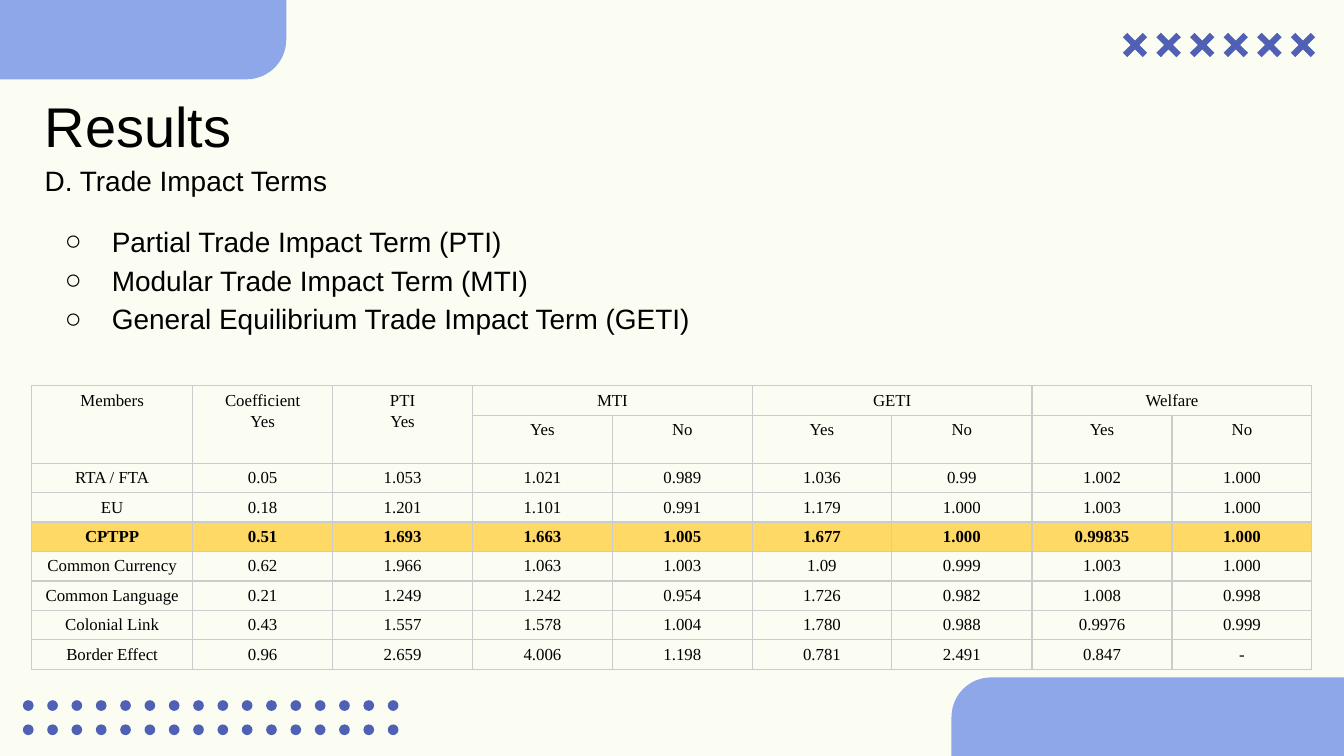
from itertools import product

from lxml.etree import SubElement as Sub
from pptx import Presentation
from pptx.dml.color import RGBColor as RGB
from pptx.enum.shapes import MSO_SHAPE as Kind
from pptx.enum.text import PP_ALIGN as Align
from pptx.oxml.ns import qn
from pptx.util import Inches, Pt

INK = {"paper": "FCFDF2", "sky": "8EA7E9", "blue": "5061B5",
       "gold": "FFD966", "rule": "CCCCCC", "text": "000000"}

TITLE = "Results"
TOPIC = "D. Trade Impact Terms"
TERMS = ["Partial Trade Impact Term (PTI)",
         "Modular Trade Impact Term (MTI)",
         "General Equilibrium Trade Impact Term (GETI)"]

ROWS = [
    ["Members", "Coefficient\nYes", "PTI\nYes", "MTI", "", "GETI", "", "Welfare", ""],
    ["", "", "", "Yes", "No", "Yes", "No", "Yes", "No"],
    ["RTA / FTA", "0.05", "1.053", "1.021", "0.989", "1.036", "0.99", "1.002", "1.000"],
    ["EU", "0.18", "1.201", "1.101", "0.991", "1.179", "1.000", "1.003", "1.000"],
    ["CPTPP", "0.51", "1.693", "1.663", "1.005", "1.677", "1.000", "0.99835", "1.000"],
    ["Common Currency", "0.62", "1.966", "1.063", "1.003", "1.09", "0.999", "1.003", "1.000"],
    ["Common Language", "0.21", "1.249", "1.242", "0.954", "1.726", "0.982", "1.008", "0.998"],
    ["Colonial Link", "0.43", "1.557", "1.578", "1.004", "1.780", "0.988", "0.9976", "0.999"],
    ["Border Effect", "0.96", "2.659", "4.006", "1.198", "0.781", "2.491", "0.847", "-"],
]
KEY = "CPTPP"
MERGES = [((0, c), (1, c)) for c in range(3)] + [((0, c), (0, c + 1)) for c in (3, 5, 7)]

# Lengths are in hundredths of the slide's width.
WIDE = Inches(10)
HIGH = WIDE * 9 // 16
COLS = [12] + [10.41] * 4 + [10.36, 10.46] + [10.41] * 2
TALLS = [2.19, 3.57] + [2.19] * 7


def size(n):
    return round(n * WIDE / 100)


def box(*nums):
    return [size(n) for n in nums]


def shape(kind, at, ink, turn=0, adj=None):
    it = slide.shapes.add_shape(kind, *box(*at))
    it.shadow.inherit = False
    it.fill.solid()
    it.fill.fore_color.rgb = RGB.from_string(INK[ink])
    it.line.fill.background()
    it.rotation = turn
    if adj is not None:
        it.adjustments[0] = adj


def bullet(para):
    props = para._p.get_or_add_pPr()
    props.set("marL", str(Inches(0.5)))
    props.set("indent", str(Inches(-0.35)))
    Sub(Sub(props, qn("a:buClr")), qn("a:srgbClr"), val=INK["text"])
    Sub(props, qn("a:buFont"), typeface="Arial")
    Sub(props, qn("a:buChar"), char="○")


def write(frame, text, font="Arial", pts=15, bold=False, align=Align.LEFT,
          dot=False, before=0):
    """Add one paragraph per line of text, filling an empty first one."""
    for i, line in enumerate(text.split("\n")):
        first = frame.paragraphs[0]
        para = frame.add_paragraph() if first.runs else first
        if dot:
            bullet(para)
        para.alignment = align
        para.line_spacing = 1.15
        para.space_before = Pt(0 if i else before)
        run = para.add_run()
        run.text = line
        run.font.name, run.font.size, run.font.bold = font, Pt(pts), bold
        run.font.color.rgb = RGB.from_string(INK["text"])


def border(cell):
    props = cell._tc.get_or_add_tcPr()
    for side in ("lnL", "lnR", "lnT", "lnB"):
        line = Sub(props, qn("a:" + side), w=str(Pt(0.75)))
        Sub(Sub(line, qn("a:solidFill")), qn("a:srgbClr"), val=INK["rule"])


def grid():
    at = box(2.34, 28.7, sum(COLS), sum(TALLS))
    table = slide.shapes.add_table(len(ROWS), len(COLS), *at).table
    table.first_row = table.horz_banding = False
    for col, wide in zip(table.columns, COLS):
        col.width = size(wide)
    for row, tall in zip(table.rows, TALLS):
        row.height = size(tall)
    for a, b in MERGES:
        table.cell(*a).merge(table.cell(*b))
    for r, c in product(range(len(ROWS)), range(len(COLS))):
        cell, key = table.cell(r, c), ROWS[r][0] == KEY
        cell.margin_left = cell.margin_right = Inches(0.03)
        cell.margin_top = cell.margin_bottom = Inches(0.02)
        border(cell)
        if key:
            cell.fill.solid()
            cell.fill.fore_color.rgb = RGB.from_string(INK["gold"])
        else:
            cell.fill.background()
        if ROWS[r][c]:
            write(cell.text_frame, ROWS[r][c], font="Times New Roman", pts=9,
                  bold=key, align=Align.CENTER)


deck = Presentation()
deck.slide_width, deck.slide_height = WIDE, HIGH
slide = deck.slides.add_slide(deck.slide_layouts[6])
back = slide.background.fill
back.solid()
back.fore_color.rgb = RGB.from_string(INK["paper"])

shape(Kind.ROUND_1_RECTANGLE, (7.7, -7.7, 5.9, 21.3), "sky", 90, 0.5)
shape(Kind.ROUND_1_RECTANGLE, (82.5, 38.7, 5.9, 29.3), "sky", 270, 0.5)
for i in range(6):
    shape(Kind.CROSS, (83.4 + 2.5 * i, 2.3, 2.1, 2.1), "blue", 45, 0.39)
for row, col in product(range(2), range(16)):
    shape(Kind.OVAL, (1.7 + 1.81 * col, 52.1 + 1.8 * row, 0.8, 0.8), "blue")

grid()

body = slide.shapes.add_textbox(*box(2.34, 5.05, 55, 24.8)).text_frame
body.word_wrap = True
body.margin_left = body.margin_right = body.margin_top = body.margin_bottom = Inches(0.1)
write(body, TITLE, pts=30)
write(body, TOPIC)
write(body, "\n".join(TERMS), dot=True, before=12)

deck.save("out.pptx")
